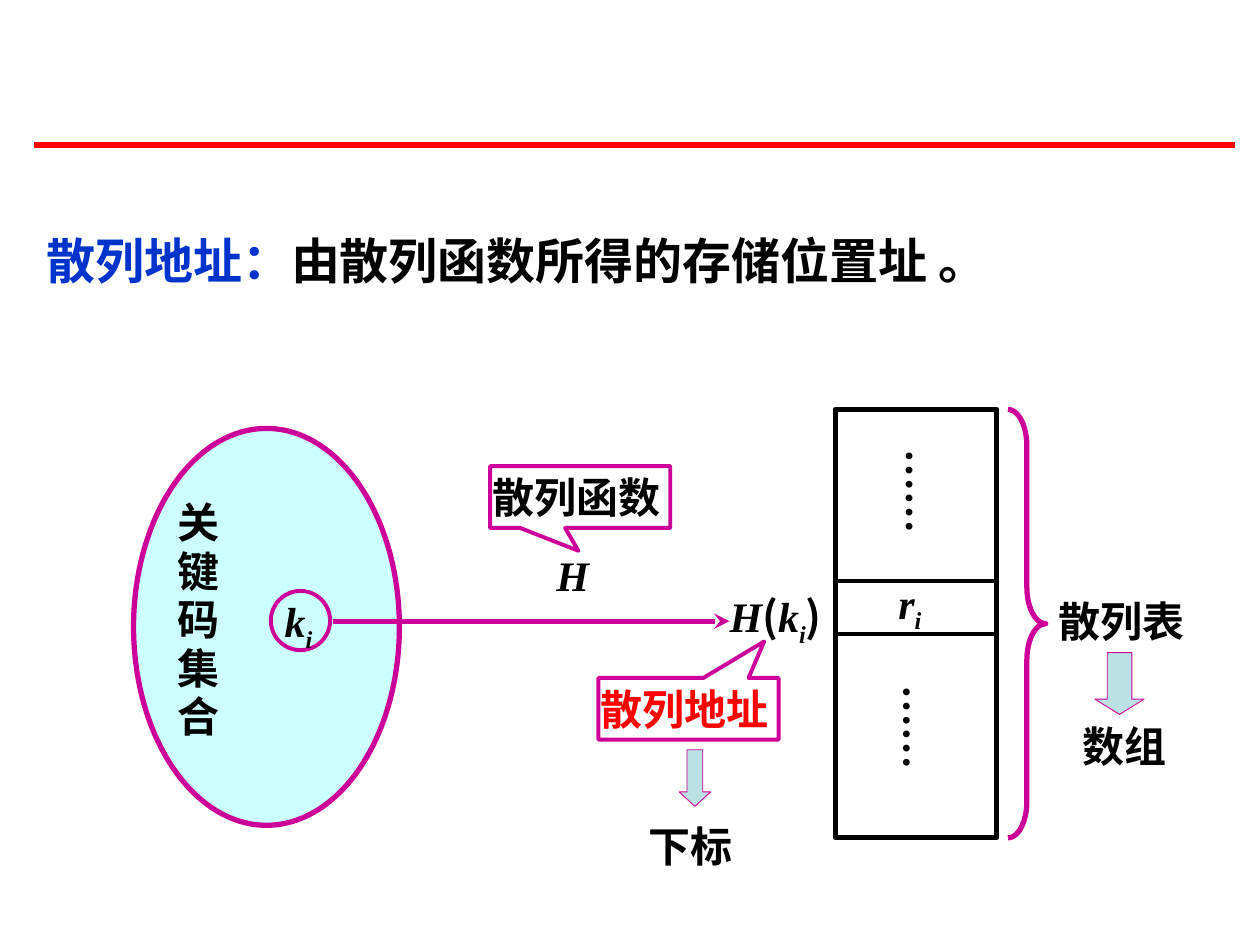
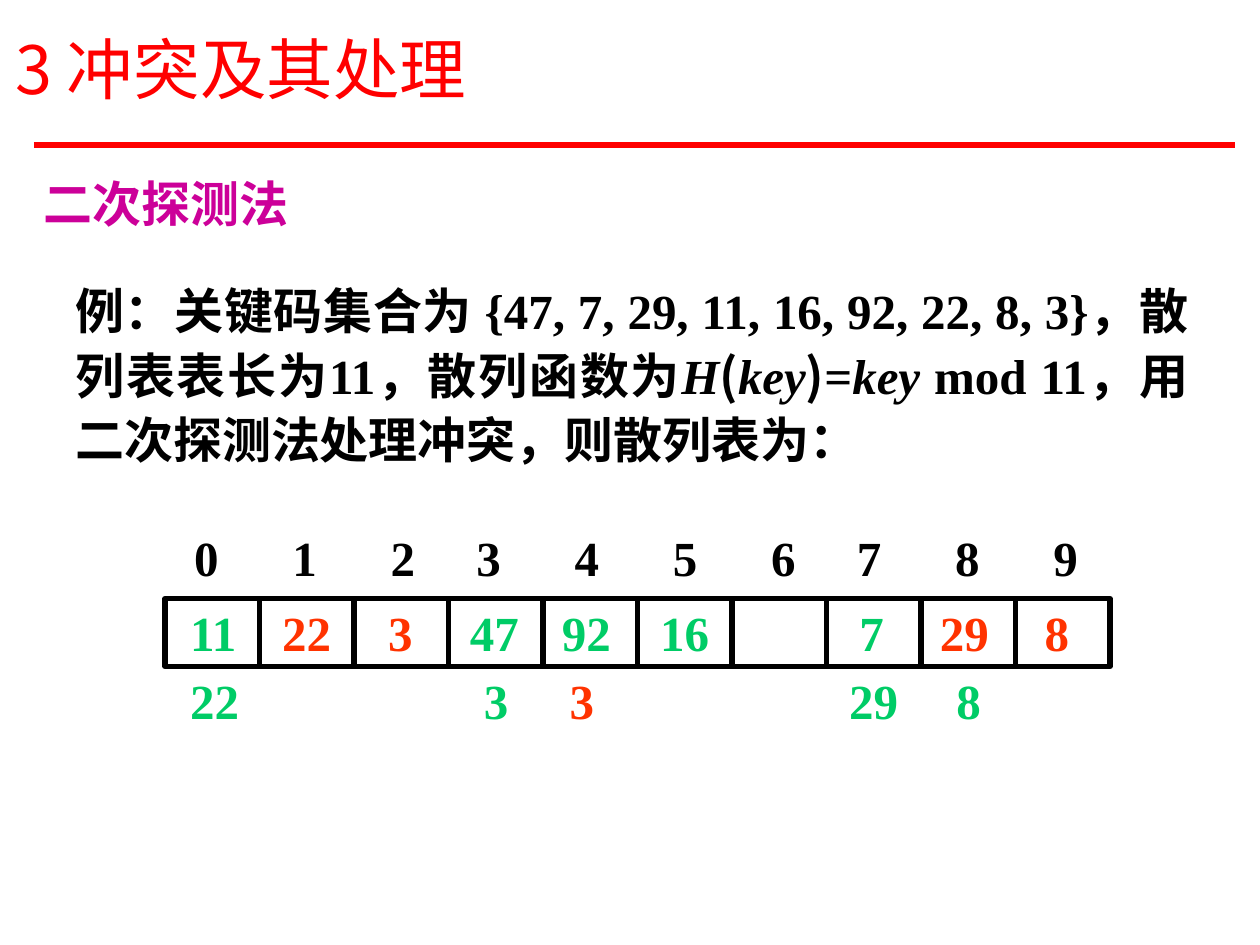
from dataclasses import dataclass
from itertools import accumulate

from lxml import etree
from pptx import Presentation
from pptx.dml.color import RGBColor
from pptx.enum.shapes import MSO_CONNECTOR, MSO_SHAPE
from pptx.enum.text import MSO_ANCHOR, MSO_AUTO_SIZE, PP_ALIGN
from pptx.oxml.ns import qn
from pptx.util import Inches, Pt

BLACK = RGBColor(0x00, 0x00, 0x00)
RED = RGBColor(0xFF, 0x00, 0x00)
BLUE = RGBColor(0x00, 0x33, 0xCC)
MAGENTA = RGBColor(0xCC, 0x00, 0x99)
PALE_CYAN = RGBColor(0xCC, 0xFF, 0xFF)
PALE_TEAL = RGBColor(0xBB, 0xE0, 0xE3)
GREEN = RGBColor(0x00, 0xCC, 0x66)
ORANGE = RGBColor(0xFF, 0x33, 0x00)

SERIF = "Times New Roman"
SANS = "Arial"
CHINESE = "Noto Sans CJK SC"

STRAIGHT = MSO_CONNECTOR.STRAIGHT
RECTANGLE = MSO_SHAPE.RECTANGLE
OVAL = MSO_SHAPE.OVAL
CALLOUT = MSO_SHAPE.RECTANGULAR_CALLOUT
DOWN_ARROW = MSO_SHAPE.DOWN_ARROW
RIGHT_BRACE = MSO_SHAPE.RIGHT_BRACE
LEFT, CENTER, JUSTIFY = PP_ALIGN.LEFT, PP_ALIGN.CENTER, PP_ALIGN.JUSTIFY
TOP, MIDDLE = MSO_ANCHOR.TOP, MSO_ANCHOR.MIDDLE
NO_AUTO_SIZE = MSO_AUTO_SIZE.NONE

TITLE_ONLY_LAYOUT = 5
BLANK_LAYOUT = 6

WIDE = (0.1, 0.05, 0.1, 0.05)
TIGHT = (0.02, 0, 0.02, 0)
SNUG = (0.02, 0.01, 0.02, 0.01)
VERTICAL = (0, 0.02, 0.04, 0.02)
NONE = (0, 0, 0, 0)


@dataclass(frozen=True)
class Run:
    text: str
    font: str = SERIF
    color: RGBColor = BLACK
    italic: bool = False
    subscript: bool = False
    bold: bool = True


@dataclass(frozen=True)
class Style:
    size: float = 24
    inset: tuple = WIDE
    align: int = LEFT
    spacing: float = 1.0
    anchor: int = TOP
    tabs: tuple = ()


@dataclass(frozen=True)
class Label:
    box: tuple
    runs: tuple
    style: Style = Style()
    vertical: bool = False


@dataclass(frozen=True)
class Figure:
    kind: int
    box: tuple
    line: RGBColor
    weight: float
    fill: RGBColor | None = None
    adjustments: tuple = ()
    runs: tuple = ()


@dataclass(frozen=True)
class Line:
    start: tuple
    end: tuple
    color: RGBColor
    weight: float
    arrow: bool = False


@dataclass(frozen=True)
class Entry:
    value: str
    left: float
    top: float
    color: RGBColor


HEADING = Style(size=28)
SYMBOL = Style(inset=TIGHT, align=JUSTIFY, spacing=0.96)
CENTERED_SYMBOL = Style(inset=TIGHT, align=CENTER, spacing=0.96)
ROW_SYMBOL = Style(inset=TIGHT)
ELLIPSIS = Style(inset=VERTICAL, align=JUSTIFY, spacing=0.96)
CALLOUT_TEXT = Style(inset=SNUG, anchor=MIDDLE)
EXAMPLE = Style(size=28, align=JUSTIFY, spacing=1.1)
DIGITS = Style(size=28, inset=NONE)
TITLE = Style(size=38, anchor=MIDDLE)

HEADER_RULE = Line((0.27, 1.15), (9.8, 1.15), RED, 3)


def set_values(target, values: dict) -> None:
    for name, value in values.items():
        setattr(target, name, value)


def inches(box: tuple) -> list:
    return [Inches(length) for length in box]


def write_text(shape, runs: tuple, style: Style) -> None:
    frame = shape.text_frame
    left, top, right, bottom = inches(style.inset)
    set_values(frame, {
        "word_wrap": True, "auto_size": NO_AUTO_SIZE,
        "vertical_anchor": style.anchor,
        "margin_left": left, "margin_top": top,
        "margin_right": right, "margin_bottom": bottom,
    })
    paragraph = frame.paragraphs[0]
    set_values(paragraph, {"alignment": style.align, "line_spacing": style.spacing})
    if style.tabs:
        properties = paragraph._p.get_or_add_pPr()
        tab_list = etree.SubElement(properties, qn("a:tabLst"))
        for position in style.tabs:
            etree.SubElement(tab_list, qn("a:tab"), pos=str(Inches(position)), algn="l")
    for item in runs:
        run = paragraph.add_run()
        run.text = item.text
        set_values(run.font, {
            "size": Pt(style.size), "bold": item.bold,
            "italic": item.italic, "name": item.font,
        })
        run.font.color.rgb = item.color
        properties = run._r.get_or_add_rPr()
        etree.SubElement(properties, qn("a:ea"), typeface=CHINESE)
        if item.subscript:
            properties.set("baseline", "-25000")


def draw_label(slide, label: Label) -> None:
    shape = slide.shapes.add_textbox(*inches(label.box))
    write_text(shape, label.runs, label.style)
    if label.vertical:
        shape.element.txBody.bodyPr.set("vert", "eaVert")


def draw_figure(slide, figure: Figure) -> None:
    shape = slide.shapes.add_shape(figure.kind, *inches(figure.box))
    shape.shadow.inherit = False
    shape.line.color.rgb = figure.line
    shape.line.width = Pt(figure.weight)
    if figure.fill is None:
        shape.fill.background()
    else:
        shape.fill.solid()
        shape.fill.fore_color.rgb = figure.fill
    for index, value in enumerate(figure.adjustments):
        shape.adjustments[index] = value
    if figure.runs:
        write_text(shape, figure.runs, CALLOUT_TEXT)


def draw_line(slide, line: Line) -> None:
    connector = slide.shapes.add_connector(STRAIGHT, *inches(line.start + line.end))
    connector.line.color.rgb = line.color
    connector.line.width = Pt(line.weight)
    if line.arrow:
        etree.SubElement(connector.line._get_or_add_ln(), qn("a:tailEnd"), type="stealth")
    etree.SubElement(connector.element.spPr, qn("a:effectLst"))


def add_slide(presentation, layout: int):
    slide = presentation.slides.add_slide(presentation.slide_layouts[layout])
    draw_line(slide, HEADER_RULE)
    return slide


def indexed(letter: str) -> tuple:
    return Run(letter, italic=True), Run("i", italic=True, subscript=True)


def build_hash_address(presentation) -> None:
    slide = add_slide(presentation, BLANK_LAYOUT)
    figures = (
        Figure(RIGHT_BRACE, (8, 3.25, 0.3, 3.4), MAGENTA, 3, adjustments=(0.96, 0.5)),
        Figure(OVAL, (1.06, 3.4, 2.11, 3.15), MAGENTA, 3, PALE_CYAN),
        Figure(RECTANGLE, (6.63, 3.25, 1.28, 3.4), BLACK, 3),
        Figure(OVAL, (2.15, 4.69, 0.47, 0.47), MAGENTA, 2.25),
        Figure(CALLOUT, (3.89, 3.7, 1.43, 0.49), MAGENTA, 2.25,
               adjustments=(-0.01, 0.87), runs=(Run("散列函数", SANS),)),
        Figure(CALLOUT, (4.75, 5.38, 1.43, 0.49), MAGENTA, 2.25,
               adjustments=(0.42, -1.09), runs=(Run("散列地址", SANS, RED),)),
        Figure(DOWN_ARROW, (5.39, 5.95, 0.25, 0.45), MAGENTA, 0.5, PALE_TEAL, (0.5, 0.46)),
        Figure(DOWN_ARROW, (8.69, 5.18, 0.39, 0.49), MAGENTA, 0.5, PALE_TEAL, (0.5, 0.31)),
    )
    lines = (
        Line((6.63, 4.61), (7.9, 4.61), BLACK, 2.25),
        Line((6.63, 5.03), (7.9, 5.03), BLACK, 2.25),
        Line((2.64, 4.93), (5.79, 4.93), MAGENTA, 3, arrow=True),
    )
    hash_of_key = (Run("H", italic=True), Run("(", CHINESE), *indexed("k"), Run(")", CHINESE))
    labels = (
        Label((0.27, 1.78, 9.17, 0.57),
              (Run("散列地址：", CHINESE, BLUE), Run("由散列函数所得的存储位置址 。", CHINESE)),
              HEADING),
        Label((8.3, 4.68, 1.21, 0.5), (Run("散列表", SANS),)),
        Label((5.05, 6.46, 0.94, 0.5), (Run("下标", SANS),)),
        Label((8.49, 5.67, 0.89, 0.5), (Run("数组", SANS),)),
        Label((1.39, 3.97, 0.34, 1.92), (Run("关键码集合"),), SYMBOL),
        Label((2.24, 4.73, 0.4, 0.36), indexed("k"), SYMBOL),
        Label((5.77, 4.69, 0.81, 0.28), hash_of_key, SYMBOL),
        Label((3.48, 4.39, 2.13, 0.37), (Run("H", italic=True),), CENTERED_SYMBOL),
        Label((7.11, 4.58, 0.5, 0.4), indexed("r"), ROW_SYMBOL),
        Label((7.17, 3.55, 0.37, 0.9), (Run("……"),), ELLIPSIS, vertical=True),
        Label((7.15, 5.42, 0.37, 0.9), (Run("……"),), ELLIPSIS, vertical=True),
    )
    for figure in figures:
        draw_figure(slide, figure)
    for line in lines:
        draw_line(slide, line)
    for label in labels:
        draw_label(slide, label)


def build_quadratic_probing(presentation) -> None:
    slide = add_slide(presentation, TITLE_ONLY_LAYOUT)
    title = slide.shapes.title
    left, top, width, height = inches((0.02, 0, 9, 1.07))
    set_values(title, {"left": left, "top": top, "width": width, "height": height})
    write_text(title, (Run("3 冲突及其处理", CHINESE, RED, bold=False),), TITLE)

    cell_width, cell_count = 0.75, 10
    for index in range(cell_count):
        cell_box = (1.31 + index * cell_width, 4.75, cell_width, 0.54)
        draw_figure(slide, Figure(RECTANGLE, cell_box, BLACK, 3))

    wide_step, narrow_step = 0.78, 0.68
    steps = [narrow_step if index in (3, 7) else wide_step for index in range(1, cell_count)]
    index_style = Style(size=28, inset=NONE, tabs=tuple(accumulate(steps)))
    index_text = "\t".join(str(index) for index in range(cell_count))
    draw_label(slide, Label((1.54, 4.19, 7.6, 0.47), (Run(index_text),), index_style))

    stored_top, collided_top = 4.78, 5.32
    entries = (
        Entry("11", 1.51, stored_top, GREEN),
        Entry("22", 2.24, stored_top, ORANGE),
        Entry("3", 3.08, stored_top, ORANGE),
        Entry("47", 3.73, stored_top, GREEN),
        Entry("92", 4.46, stored_top, GREEN),
        Entry("16", 5.24, stored_top, GREEN),
        Entry("7", 6.82, stored_top, GREEN),
        Entry("29", 7.46, stored_top, ORANGE),
        Entry("8", 8.29, stored_top, ORANGE),
        Entry("22", 1.51, collided_top, GREEN),
        Entry("3", 3.84, collided_top, GREEN),
        Entry("3", 4.52, collided_top, ORANGE),
        Entry("29", 6.74, collided_top, GREEN),
        Entry("8", 7.59, collided_top, GREEN),
    )
    for entry in entries:
        box = (entry.left, entry.top, 0.25 * len(entry.value), 0.47)
        draw_label(slide, Label(box, (Run(entry.value, color=entry.color),), DIGITS))

    example = (
        Run("例：关键码集合为 {47, 7, 29, 11, 16, 92, 22, 8, 3}，散列表表长为11，散列函"),
        Run("数为", CHINESE), Run("H", italic=True), Run("(", CHINESE),
        Run("key", italic=True), Run(")", CHINESE), Run("="),
        Run("key", italic=True), Run(" mod 11"),
        Run("，用二次探测法处理冲突，则散列表为：", CHINESE),
    )
    draw_label(slide, Label((0.5, 2.13, 9.03, 1.64), example, EXAMPLE))
    draw_label(slide, Label((0.25, 1.33, 5.83, 0.57), (Run("二次探测法", color=MAGENTA),), HEADING))


def main() -> None:
    presentation = Presentation()
    presentation.slide_width = Inches(10)
    presentation.slide_height = Inches(7.5)
    build_hash_address(presentation)
    build_quadratic_probing(presentation)
    presentation.save("out.pptx")


if __name__ == "__main__":
    main()
